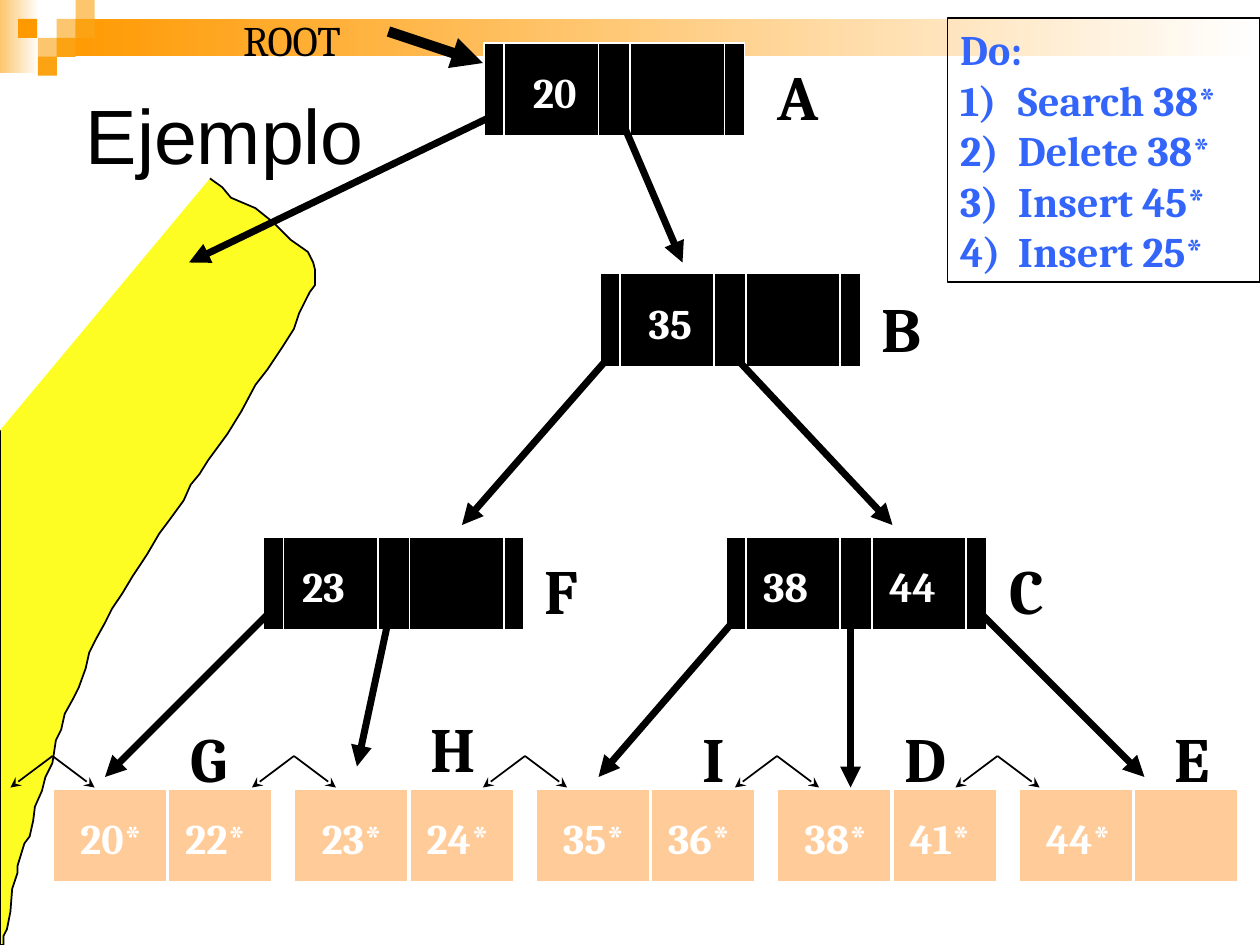
from pptx import Presentation
from pptx.dml.color import RGBColor
from pptx.enum.shapes import MSO_CONNECTOR as CONN, MSO_SHAPE as SHAPE
from pptx.enum.text import MSO_ANCHOR as ANCHOR, MSO_AUTO_SIZE as AUTO, PP_ALIGN as ALIGN
from pptx.oxml.ns import qn
from pptx.util import Pt
from lxml.etree import SubElement

BLACK, WHITE, YELLOW, PEACH, BLUE = "000000", "FFFFFF", "FDFD24", "FFCC99", "3365FB"
ORANGE, AMBER, LIGHT = "FF9900", "FBA313", "FCC66E"
NODE_W, LEAF_W, BOX_H = 149, 125.3, 53.2

# Outline of the yellow area, open along its straight upper left side
YELLOW_EDGE = [
    (120, 102), (127, 107), (132, 113), (146, 119), (156, 127), (166, 137), (176, 144),
    (179, 150), (180, 154), (180, 163), (177, 167), (171, 179), (168, 188), (161, 199),
    (153, 211), (146, 220), (138, 235), (130, 248), (119, 263), (114, 271), (109, 277),
    (105, 286), (97, 297), (91, 305), (84, 317), (76, 329), (70, 339), (64, 348),
    (60, 356), (55, 365), (51, 373), (49, 382), (45, 393), (42, 399), (37, 408),
    (35, 417), (32, 423), (30, 436), (26, 444), (24, 452), (20, 461), (19, 469),
    (17, 478), (14, 482), (10, 495), (10, 499), (7, 508), (6, 521), (4, 531),
    (2, 535), (2, 540), (0, 540), (0, 246)]

# Inner nodes: name, left, top, name offset (x, y), keys by offset
NODES = [
    ("C", 414.7, 306.7, (154.8, 5), {14.4: "38", 86.4: "44"}),
    ("F", 150.5, 306.7, (153.4, 5), {15: "23"}),
    ("A", 276.5, 24.5, (160.6, 5), {20.9: "20"}),
    ("B", 342.7, 156.2, (154.1, 5.8), {20.9: "35"})]

# Leaves: name, name offset (x, y), entries
LEAVES = [
    ("G", (71.5, -43.2), ("20*", "22*")),
    ("H", (71, -49), ("23*", "24*")),
    ("I", (88, -43.2), ("35*", "36*")),
    ("D", (65.8, -43.2), ("38*", "41*")),
    ("E", (81.8, -43.2), ("44*",))]

# Pointers from parent to child
POINTERS = [
    (282, 66, 108, 150), (354, 66, 390, 150), (348, 204, 264, 300), (420, 204, 510, 300),
    (420, 354, 342, 444), (486, 354, 486, 450), (558, 348, 654, 444),
    (156, 348, 60, 444), (222, 354, 204, 438)]

LINK_PEAKS = [30, 168, 300, 444, 570]
TASKS = ["Do:", "1)\tSearch 38*", "2)\tDelete 38*", "3)\tInsert 45*", "4)\tInsert 25*"]


def rgb(color):
    return RGBColor.from_string(color)


def style(font, size, color, name="Cambria", bold=False):
    font.size, font.name, font.bold = Pt(size), name, bold
    font.color.rgb = rgb(color)


def place(shape, left, top, width, height):
    shape.left, shape.top, shape.width, shape.height = map(Pt, (left, top, width, height))


def add_box(shapes, left, top, width, height, fill, outline=None):
    box = shapes.add_shape(SHAPE.RECTANGLE, *map(Pt, (left, top, width, height)))
    box.shadow.inherit = False
    if isinstance(fill, tuple):
        box.fill.gradient()
        box.fill.gradient_angle = 0
        for stop, color in zip(box.fill.gradient_stops, fill):
            stop.color.rgb = rgb(color)
    else:
        box.fill.solid()
        box.fill.fore_color.rgb = rgb(fill)
    if outline:
        box.line.color.rgb = rgb(outline)
        box.line.width = Pt(1)
    else:
        box.line.fill.background()


def add_line(shapes, x1, y1, x2, y2, color, width, arrow=None):
    line = shapes.add_connector(CONN.STRAIGHT, *map(Pt, (x1, y1, x2, y2)))
    line.line.color.rgb = rgb(color)
    line.line.width = Pt(width)
    if arrow:
        SubElement(line.line._get_or_add_ln(), qn("a:tailEnd"), type=arrow)
    SubElement(line._element.spPr, qn("a:effectLst"))


def add_label(shapes, text, left, top, width, size, color, bold=True):
    label = shapes.add_textbox(*map(Pt, (left, top, width, size * 1.4)))
    label.text_frame.word_wrap = False
    paragraph = label.text_frame.paragraphs[0]
    paragraph.text = text
    style(paragraph.font, size, color, bold=bold)


def add_header(shapes, left, top):
    """Fading bar and checkered corner."""
    add_box(shapes, left, top, 22.3, 41.8, (LIGHT, WHITE))
    add_box(shapes, left + 32.4, top + 10.8, 687.6, 21.3, (ORANGE, WHITE))
    for x, y, color in [(32.4, 10.8, LIGHT), (43.2, 0, LIGHT), (43.2, 10.8, AMBER),
                        (21.6, 21.6, LIGHT), (10.3, 10.8, ORANGE),
                        (32.4, 21.6, AMBER), (21.6, 32.4, AMBER)]:
        add_box(shapes, left + x, top + y, 10.9, 10.9, color)


def add_yellow_area(shapes):
    builder = shapes.build_freeform(*YELLOW_EDGE[0], scale=Pt(1))
    builder.add_line_segments(YELLOW_EDGE[1:], close=False)
    area = builder.convert_to_shape()
    area.shadow.inherit = False
    area.fill.solid()
    area.fill.fore_color.rgb = rgb(YELLOW)
    area.line.color.rgb = rgb(BLACK)
    area.line.width = Pt(1)


def add_node(shapes, name, left, top, name_at, keys):
    add_box(shapes, left, top, NODE_W, BOX_H, BLACK, WHITE)
    for x in (11.5, 65.5, 83.5, 137.5):
        add_line(shapes, left + x, top, left + x, top + BOX_H, WHITE, 1)
    for x, key in keys.items():
        add_label(shapes, key, left + x, top + 10, 41.8, 24, WHITE)
    add_label(shapes, name, left + name_at[0], top + name_at[1], 40, 36, BLACK)


def add_leaf(shapes, name, left, top, name_at, entries):
    add_box(shapes, left, top, LEAF_W, BOX_H, PEACH, WHITE)
    add_line(shapes, left + 65.5, top, left + 65.5, top + BOX_H, WHITE, 2)
    for column, entry in enumerate(entries):
        add_label(shapes, entry, left + 8.5 + 60 * column, top + 10, 53.3, 24, WHITE)
    add_label(shapes, name, left + name_at[0], top + name_at[1], 42, 36, BLACK)


def add_leaf_link(shapes, peak, top):
    for dx in (-24, 24):
        add_line(shapes, peak, top, peak + dx, top + 18, BLACK, 1, "stealth")


def fill_title(title, left, top, width, height):
    place(title, left, top, width, height)
    title.text_frame.text = "Ejemplo"
    title.text_frame.vertical_anchor = ANCHOR.MIDDLE
    paragraph = title.text_frame.paragraphs[0]
    paragraph.alignment = ALIGN.LEFT
    style(paragraph.font, 44, BLACK, "Arial")


def fill_tasks(tasks, left, top, width, height):
    place(tasks, left, top, width, height)
    tasks.line.color.rgb = rgb(BLACK)
    tasks.line.width = Pt(1)
    frame = tasks.text_frame
    frame.text = "\n".join(TASKS)
    frame.auto_size = AUTO.NONE
    for paragraph in frame.paragraphs:
        paragraph.space_before = Pt(0)
        style(paragraph.font, 24, BLUE, bold=True)
        # Hanging indent for the typed numbers
        props = paragraph._p.get_or_add_pPr()
        props.set("marL", str(Pt(33)))
        props.set("indent", str(-Pt(33)))
        SubElement(props, qn("a:buNone"))
        props.remove(font := props.find(qn("a:defRPr")))
        props.append(font)


def main():
    deck = Presentation()
    deck.slide_width, deck.slide_height = Pt(720), Pt(540)
    slide = deck.slides.add_slide(deck.slide_layouts[1])
    shapes = slide.shapes
    title, tasks = slide.placeholders

    add_header(shapes, 0, 0)
    add_yellow_area(shapes)
    # Placeholders go above the decoration
    for placeholder in (title, tasks):
        shapes._spTree.append(placeholder._element)
    fill_title(title, 41.8, 33.1, 612, 87.1)
    fill_tasks(tasks, 541.5, 10.1, 178.5, 151.2)

    # Tree
    for name, left, top, name_at, keys in NODES:
        add_node(shapes, name, left, top, name_at, keys)
    for index, (name, name_at, entries) in enumerate(LEAVES):
        add_leaf(shapes, name, 30.2 + 138 * index, 450.7, name_at, entries)
    for peak in LINK_PEAKS:
        add_leaf_link(shapes, peak, 432)
    for pointer in POINTERS:
        add_line(shapes, *pointer, BLACK, 4, "triangle")

    # Root pointer
    add_label(shapes, "ROOT", 131.8, 5, 80.6, 24, BLACK, bold=False)
    add_line(shapes, 222, 18, 276, 36, BLACK, 6, "triangle")

    deck.save("out.pptx")


if __name__ == "__main__":
    main()
